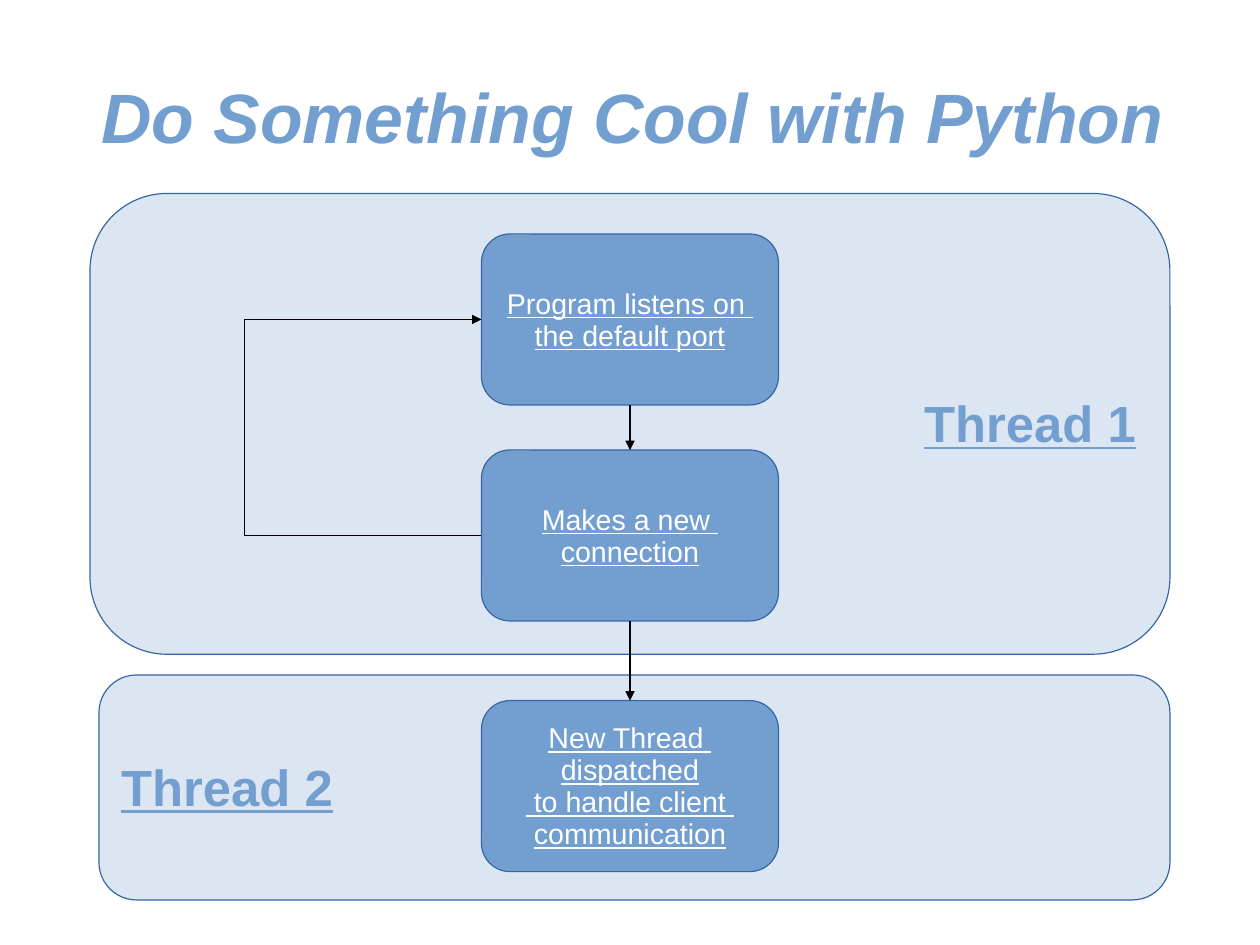
from dataclasses import dataclass

from lxml import etree
from pptx import Presentation
from pptx.dml.color import RGBColor
from pptx.enum.shapes import MSO_CONNECTOR, MSO_SHAPE
from pptx.enum.text import MSO_ANCHOR, MSO_AUTO_SIZE, PP_ALIGN
from pptx.oxml.ns import qn
from pptx.shapes.autoshape import Shape
from pptx.shapes.connector import Connector
from pptx.slide import Slide
from pptx.util import Cm, Length, Pt

BLUE = RGBColor(0x72, 0x9F, 0xCF)
OUTLINE = RGBColor(0x34, 0x65, 0xA4)
BLACK = RGBColor(0x00, 0x00, 0x00)
WHITE = RGBColor(0xFF, 0xFF, 0xFF)

FONT = "Arial"
LINE_WIDTH = Pt(0.75)
LINE_SPACING = 0.93
CORNER = 0.167
LANE_OPACITY = 25

# The slide is a grid of square cells, one centimetre each.
COLUMNS, ROWS = 28, 21
STEP_COLUMNS, STEP_ROWS = 6.6, 3.8
STEP_LEFT = (COLUMNS - STEP_COLUMNS) / 2
LOOP_COLUMN = 5.44
LOOP_OFFSET = 0.02


@dataclass(frozen=True)
class Box:
    """A rounded box, placed in grid columns and rows."""

    left: float
    top: float
    width: float
    height: float
    lines: tuple[str, ...]
    size: int = 18
    bold: bool = False
    color: RGBColor = WHITE
    align: PP_ALIGN = PP_ALIGN.CENTER
    opacity: int = 100
    inset_top: float = 0.18


def lane(left: float, top: float, height: float, label: str, align: PP_ALIGN) -> Box:
    """Describe a pale thread panel that ends two columns from the right edge."""
    return Box(left, top, COLUMNS - 2 - left, height, (label,), 32, True,
               BLUE, align, LANE_OPACITY, 0.2)


def step(top: float, *lines: str) -> Box:
    return Box(STEP_LEFT, top, STEP_COLUMNS, STEP_ROWS, lines)


LANES = (
    lane(2, 4.3, 10.24, "Thread 1", PP_ALIGN.RIGHT),
    lane(2.2, 15, 5, "Thread 2", PP_ALIGN.LEFT),
)
STEPS = (
    step(5.2, "Program listens on ", "the default port"),
    step(10, "Makes a new ", "connection"),
    step(15.57, "New Thread ", "dispatched", " to handle client ", "communication"),
)


def cells(*counts: float) -> list[Length]:
    return [Cm(count) for count in counts]


def add_title(slide: Slide, text: str) -> None:
    title = slide.shapes.title
    title.left, title.top, title.width, title.height = cells(1.47, 0.86, 25.2, 3.5)
    tf = title.text_frame
    tf.auto_size = MSO_AUTO_SIZE.NONE
    tf.vertical_anchor = MSO_ANCHOR.MIDDLE
    tf.margin_left, tf.margin_top, tf.margin_right, tf.margin_bottom = cells(0, 0.1, 0, 0)
    tf.text = text
    p = tf.paragraphs[0]
    p.alignment = PP_ALIGN.CENTER
    p.line_spacing = LINE_SPACING
    p.font.name, p.font.size = FONT, Pt(44)
    p.font.bold = p.font.italic = True
    p.font.color.rgb = BLUE


def add_box(slide: Slide, box: Box) -> Shape:
    sp = slide.shapes.add_shape(
        MSO_SHAPE.ROUNDED_RECTANGLE, *cells(box.left, box.top, box.width, box.height))
    sp.shadow.inherit = False
    sp.adjustments[0] = CORNER
    sp.fill.solid()
    sp.fill.fore_color.rgb = BLUE
    if box.opacity < 100:
        color = sp.fill._xPr.find(qn("a:solidFill"))[0]
        etree.SubElement(color, qn("a:alpha"), val=str(box.opacity * 1000))
    sp.line.color.rgb = OUTLINE
    sp.line.width = LINE_WIDTH

    tf = sp.text_frame
    tf.word_wrap = False
    tf.vertical_anchor = MSO_ANCHOR.MIDDLE
    tf.margin_left, tf.margin_top, tf.margin_right, tf.margin_bottom = cells(
        0.25, box.inset_top, 0.25, 0.13)
    tf.text = "\n".join(box.lines)
    for p in tf.paragraphs:
        p.alignment = box.align
        p.line_spacing = LINE_SPACING
        p.font.name, p.font.size = FONT, Pt(box.size)
        p.font.bold, p.font.underline = box.bold, True
        p.font.color.rgb = box.color
    return sp


def add_arrow(slide: Slide, kind: MSO_CONNECTOR, *ends: Length) -> Connector:
    arrow = slide.shapes.add_connector(kind, *ends)
    arrow.line.color.rgb = BLACK
    arrow.line.width = LINE_WIDTH
    etree.SubElement(arrow.line._get_or_add_ln(), qn("a:tailEnd"), type="triangle")
    etree.SubElement(arrow._element.spPr, qn("a:effectLst"))
    return arrow


def add_down_arrow(slide: Slide, upper: Box, lower: Box) -> None:
    middle = COLUMNS / 2
    add_arrow(slide, MSO_CONNECTOR.STRAIGHT,
              *cells(middle, upper.top + upper.height, middle, lower.top))


def add_loop_arrow(slide: Slide, source: Box, target: Box) -> None:
    """Lead from the left side of source out to the loop column and back to target."""
    start = source.left - LOOP_OFFSET
    loop = add_arrow(slide, MSO_CONNECTOR.ELBOW,
                     *cells(start, source.top + source.height / 2,
                            target.left, target.top + target.height / 2))
    bend = round((LOOP_COLUMN - start) / LOOP_OFFSET * 100000)
    guides = loop._element.spPr.find(qn("a:prstGeom")).get_or_add_avLst()
    etree.SubElement(guides, qn("a:gd"), name="adj1", fmla=f"val {bend}")


def main() -> None:
    prs = Presentation()
    prs.slide_width, prs.slide_height = cells(COLUMNS, ROWS)
    slide = prs.slides.add_slide(prs.slide_layouts[5])
    add_title(slide, "Do Something Cool with Python")
    for box in LANES + STEPS:
        add_box(slide, box)
    for upper, lower in zip(STEPS, STEPS[1:]):
        add_down_arrow(slide, upper, lower)
    add_loop_arrow(slide, STEPS[1], STEPS[0])
    prs.save("out.pptx")


if __name__ == "__main__":
    main()
